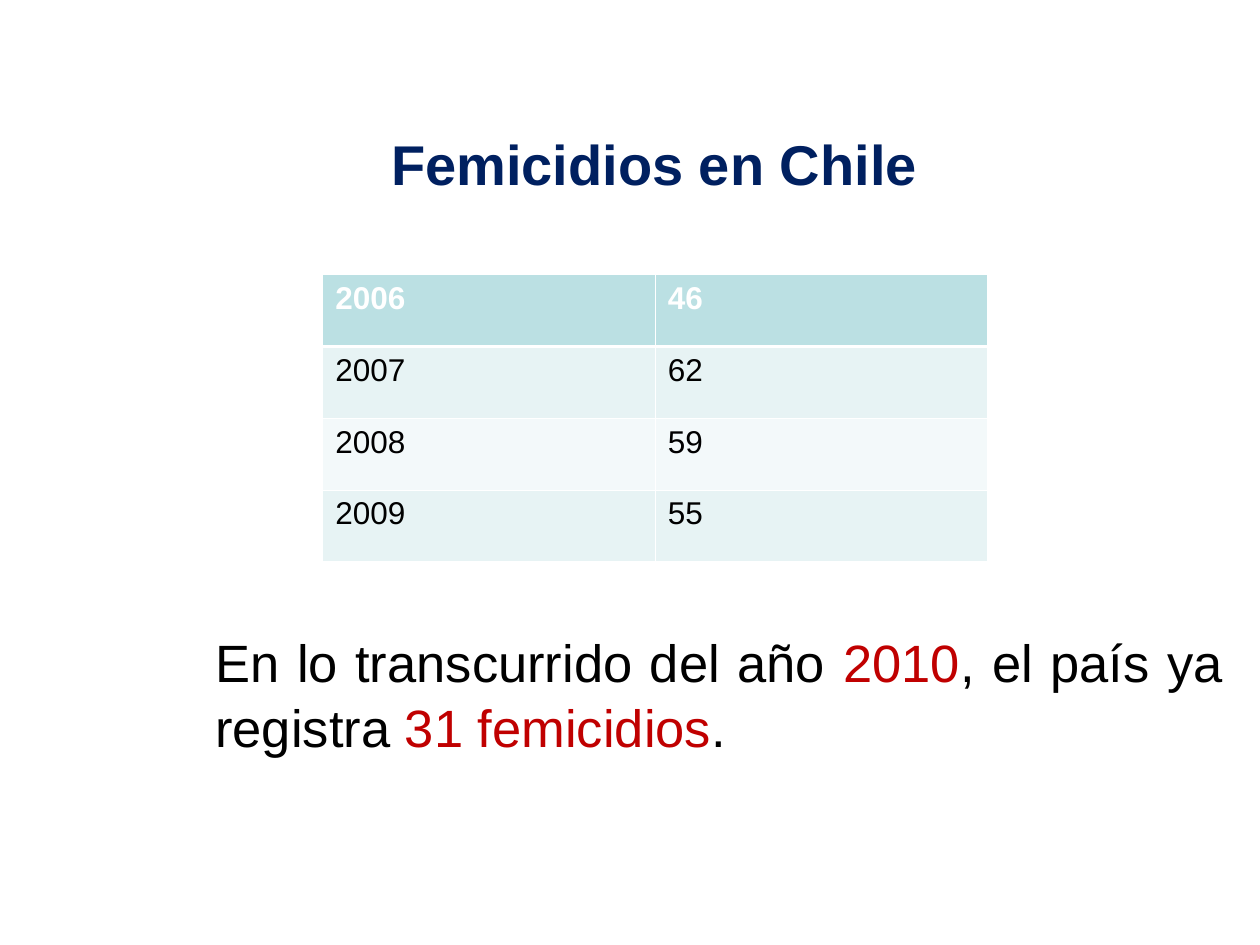
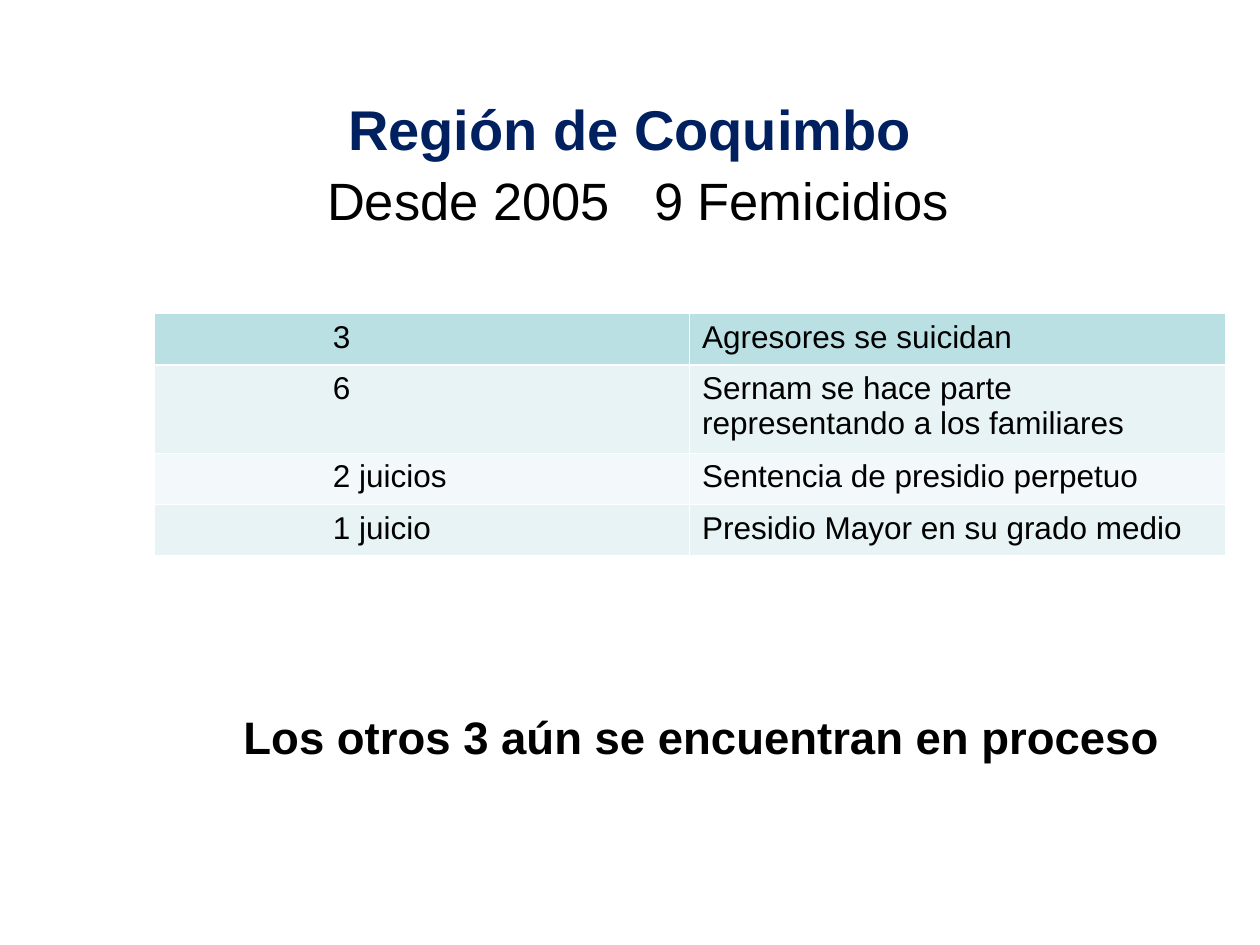
from dataclasses import dataclass
from typing import Optional

from lxml.etree import SubElement
from pptx import Presentation
from pptx.dml.color import RGBColor
from pptx.enum.text import MSO_ANCHOR, PP_ALIGN
from pptx.oxml.ns import qn
from pptx.util import Pt

# Shared look
FONT = "Arial"
NAVY, RED, BLACK, WHITE = "002060", "C00000", "000000", "FFFFFF"
HEADER_FILL, BAND_FILLS = "BBE0E3", ("E7F3F4", "F3F9FA")
THIN, THICK = 0.45, 1.47
LINE_SPACING = 1.04
CELL_INSET = 7.2
TITLE_TOP, TITLE_HEIGHT = 48, 90


@dataclass
class Box:
    left: float
    top: float
    width: float
    height: float

    def lengths(self) -> tuple:
        return Pt(self.left), Pt(self.top), Pt(self.width), Pt(self.height)


@dataclass
class Run:
    text: str
    color: Optional[str] = None
    spacing: float = 0


@dataclass
class DataTable:
    left: float
    top: float
    column_width: float
    row_heights: list[float]
    rows: list[tuple[str, str]]
    header_color: str = BLACK
    header_bold: bool = False
    first_column_indent: float = 0


def rgb(color: str) -> RGBColor:
    return RGBColor.from_string(color)


def write(paragraph, content, *, size: float, color: str = BLACK, bold: bool = False,
          align=PP_ALIGN.LEFT, line_spacing: Optional[float] = None,
          space_before: float = 0, indent: float = 0) -> None:
    """Fill a paragraph with a string or a list of runs."""
    paragraph.alignment = align
    if line_spacing:
        paragraph.line_spacing = line_spacing
    if space_before:
        paragraph.space_before = Pt(space_before)
    if indent:
        paragraph._p.get_or_add_pPr().set("marL", str(Pt(indent)))
    for part in [Run(content)] if isinstance(content, str) else content:
        run = paragraph.add_run()
        run.text = part.text
        run.font.name = FONT
        run.font.size = Pt(size)
        run.font.bold = bold
        run.font.color.rgb = rgb(part.color or color)
        if part.spacing:
            run.font._element.set("spc", str(round(part.spacing * 100)))


def add_text_frame(slide, box: Box, anchor=MSO_ANCHOR.TOP):
    frame = slide.shapes.add_textbox(*box.lengths()).text_frame
    frame.word_wrap = True
    frame.vertical_anchor = anchor
    return frame


def add_title(slide, text: str, left: float, width: float):
    frame = add_text_frame(slide, Box(left, TITLE_TOP, width, TITLE_HEIGHT), MSO_ANCHOR.MIDDLE)
    write(frame.paragraphs[0], text, size=32, color=NAVY, bold=True, align=PP_ALIGN.CENTER)
    return frame


def set_borders(cell, row_index: int) -> None:
    """White cell borders, thicker between the header and the body."""
    widths = {"L": THIN, "R": THIN,
              "T": THICK if row_index == 1 else THIN,
              "B": THICK if row_index == 0 else THIN}
    properties = cell._tc.get_or_add_tcPr()
    for side, width in widths.items():
        line = SubElement(properties, qn(f"a:ln{side}"), w=str(Pt(width)))
        fill = SubElement(line, qn("a:solidFill"))
        SubElement(fill, qn("a:srgbClr"), val=WHITE)


def add_data_table(slide, data: DataTable) -> None:
    column_count = len(data.rows[0])
    box = Box(data.left, data.top, data.column_width * column_count, sum(data.row_heights))
    table = slide.shapes.add_table(len(data.rows), column_count, *box.lengths()).table
    table.first_row = table.horz_banding = False
    for column in table.columns:
        column.width = Pt(data.column_width)
    for row_index, (values, height) in enumerate(zip(data.rows, data.row_heights)):
        is_header = row_index == 0
        table.rows[row_index].height = Pt(height)
        for column_index, value in enumerate(values):
            cell = table.cell(row_index, column_index)
            set_borders(cell, row_index)
            cell.fill.solid()
            cell.fill.fore_color.rgb = rgb(HEADER_FILL if is_header
                                           else BAND_FILLS[(row_index - 1) % 2])
            if column_index == 0:
                cell.margin_left = Pt(CELL_INSET + data.first_column_indent)
            write(cell.text_frame.paragraphs[0], value, size=18,
                  color=data.header_color if is_header else BLACK,
                  bold=is_header and data.header_bold)


def build_chile_slide(slide) -> None:
    add_title(slide, "Femicidios en Chile", 82, 584)
    add_data_table(slide, DataTable(
        left=184.4, top=157, column_width=190, row_heights=[41] * 4,
        rows=[("2006", "46"), ("2007", "62"), ("2008", "59"), ("2009", "55")],
        header_color=WHITE, header_bold=True))
    # Closing statement with highlighted figures
    frame = add_text_frame(slide, Box(116, 355, 590, 79))
    write(frame.paragraphs[0],
          [Run("En lo transcurrido del año "), Run("2010", RED),
           Run(", el país ya registra "), Run("31 femicidios", RED), Run(".")],
          size=30, align=PP_ALIGN.JUSTIFY, line_spacing=LINE_SPACING)


def build_coquimbo_slide(slide) -> None:
    frame = add_title(slide, "Región de Coquimbo", 54, 612)
    # Subtitle, with a widened space before the count
    write(frame.add_paragraph(),
          [Run("Desde 2005"), Run(" ", spacing=16.7), Run("9 Femicidios")],
          size=30, align=PP_ALIGN.CENTER, space_before=4, indent=9)
    add_data_table(slide, DataTable(
        left=88, top=179.3, column_width=306, row_heights=[29.2, 50.4, 29.2, 29.2],
        rows=[("3", "Agresores se suicidan"),
              ("6", "Sernam se hace parte representando a los familiares"),
              ("2 juicios", "Sentencia de presidio perpetuo"),
              ("1 juicio", "Presidio Mayor en su grado medio")],
        first_column_indent=95))
    # Closing statement
    frame = add_text_frame(slide, Box(82, 343.5, 638, 96.5), MSO_ANCHOR.BOTTOM)
    write(frame.paragraphs[0], "Los otros 3 aún se encuentran en proceso",
          size=26, bold=True, align=PP_ALIGN.CENTER, line_spacing=LINE_SPACING)


def main() -> None:
    presentation = Presentation()
    presentation.slide_width, presentation.slide_height = Pt(720), Pt(540)
    blank_layout = presentation.slide_layouts[6]
    for build in (build_chile_slide, build_coquimbo_slide):
        build(presentation.slides.add_slide(blank_layout))
    presentation.save("out.pptx")


if __name__ == "__main__":
    main()
